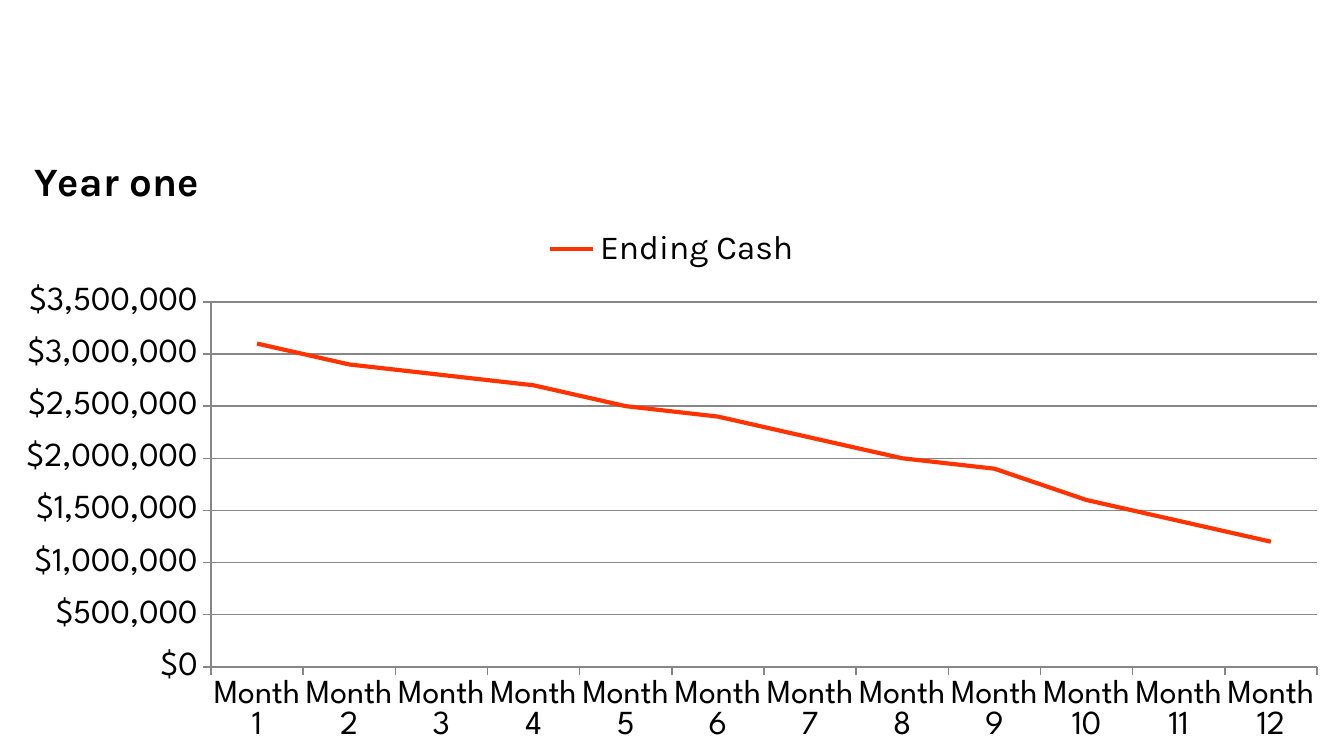
import pptx
import pptx.chart.data
import pptx.dml.color
import pptx.enum.chart
import pptx.oxml.ns
import pptx.oxml.xmlchemy
import pptx.util
from dataclasses import dataclass

Pt = pptx.util.Pt
qn = pptx.oxml.ns.qn
OxmlElement = pptx.oxml.xmlchemy.OxmlElement


@dataclass(frozen=True)
class Theme:
    text: str = "000000"
    cash: str = "FF3300"
    grid: str = "878787"
    base_font: str = "Calibri"
    heading_font: str = "Karla"
    axis_font: str = "League Spartan"
    heading_size: float = 21.6
    body_size: float = 18
    cash_width: float = 2.25
    grid_width: float = 0.75


THEME = Theme()
SLIDE_WIDTH, SLIDE_HEIGHT = 720, 405
CHART_TOP = 64.8
ENDING_CASH = [3100000, 2900000, 2800000, 2700000, 2500000, 2400000,
               2200000, 2000000, 1900000, 1600000, 1400000, 1200000]


def style_font(font, name, size=THEME.body_size, bold=False):
    font.name = name
    font.size = Pt(size)
    font.bold = bold
    font.color.rgb = pptx.dml.color.RGBColor.from_string(THEME.text)


def style_line(line, color, width):
    line.color.rgb = pptx.dml.color.RGBColor.from_string(color)
    line.width = Pt(width)


def place(element, **settings):
    """Give a chart part a manual layout, in fractions of the chart."""
    layout = element.find(qn("c:layout"))
    if layout is None:
        layout = OxmlElement("c:layout")
        text = element.find(qn("c:tx"))
        element.insert(0 if text is None else 1, layout)
    manual = OxmlElement("c:manualLayout")
    for tag, value in settings.items():
        setting = OxmlElement(f"c:{tag}")
        setting.set("val", str(value))
        manual.append(setting)
    layout.append(manual)


def add_cash_chart(slide):
    cash_data = pptx.chart.data.CategoryChartData(number_format='"$"#,##0')
    cash_data.categories = [f"Month {month}" for month in range(1, 13)]
    cash_data.add_series("Ending Cash", ENDING_CASH)
    cash_chart = slide.shapes.add_chart(
        pptx.enum.chart.XL_CHART_TYPE.LINE, Pt(0), Pt(CHART_TOP),
        Pt(SLIDE_WIDTH), Pt(SLIDE_HEIGHT - CHART_TOP), cash_data).chart
    style_font(cash_chart.font, THEME.base_font)

    cash_line = cash_chart.plots[0].series[0]
    cash_line.smooth = False
    style_line(cash_line.format.line, THEME.cash, THEME.cash_width)
    cash_chart.plots[0].vary_by_categories = False
    plot_area = cash_chart.plots[0]._element.getparent()
    place(plot_area, layoutTarget="inner", xMode="edge", yMode="edge",
          x=0.157, y=0.285, w=0.823, h=0.575)
    return cash_chart


def format_heading(cash_chart):
    heading = cash_chart.chart_title
    heading.text_frame.text = "Year one"
    style_font(heading.text_frame.paragraphs[0].runs[0].font,
               THEME.heading_font, THEME.heading_size, bold=True)
    place(heading._element, xMode="edge", yMode="edge", x=0.02, y=0.04)
    heading._element.find(qn("c:overlay")).set("val", "1")


def format_legend(cash_chart):
    cash_chart.has_legend = True
    legend = cash_chart.legend
    legend.position = pptx.enum.chart.XL_LEGEND_POSITION.TOP
    legend.include_in_layout = False
    style_font(legend.font, THEME.heading_font)
    place_legend = dict(xMode="edge", yMode="edge", x=0.4, y=0.16)
    legend_layout = OxmlElement("c:layout")
    legend._element.find(qn("c:legendPos")).addnext(legend_layout)
    place(legend._element, **place_legend)


def format_axis(axis):
    axis.major_tick_mark = pptx.enum.chart.XL_TICK_MARK.OUTSIDE
    axis.minor_tick_mark = pptx.enum.chart.XL_TICK_MARK.NONE
    style_font(axis.tick_labels.font, THEME.axis_font)
    style_line(axis.format.line, THEME.grid, THEME.grid_width)


def format_dollar_scale(dollar_axis):
    dollar_axis.minimum_scale = 0
    dollar_axis.maximum_scale = 3500000
    dollar_axis.major_unit = 500000
    dollar_axis.tick_labels.number_format = '"$"#,##0'
    dollar_axis.tick_labels.number_format_is_linked = False
    dollar_axis.has_major_gridlines = True
    style_line(dollar_axis.major_gridlines.format.line,
               THEME.grid, THEME.grid_width)


def main():
    presentation = pptx.Presentation()
    presentation.slide_width = Pt(SLIDE_WIDTH)
    presentation.slide_height = Pt(SLIDE_HEIGHT)
    slide = presentation.slides.add_slide(presentation.slide_layouts[6])

    # Cash balance over the first year
    cash_chart = add_cash_chart(slide)

    # Heading and legend above the plot
    format_heading(cash_chart)
    format_legend(cash_chart)

    # Months and dollar amounts
    for axis in (cash_chart.category_axis, cash_chart.value_axis):
        format_axis(axis)
    format_dollar_scale(cash_chart.value_axis)

    presentation.save("out.pptx")


if __name__ == "__main__":
    main()
